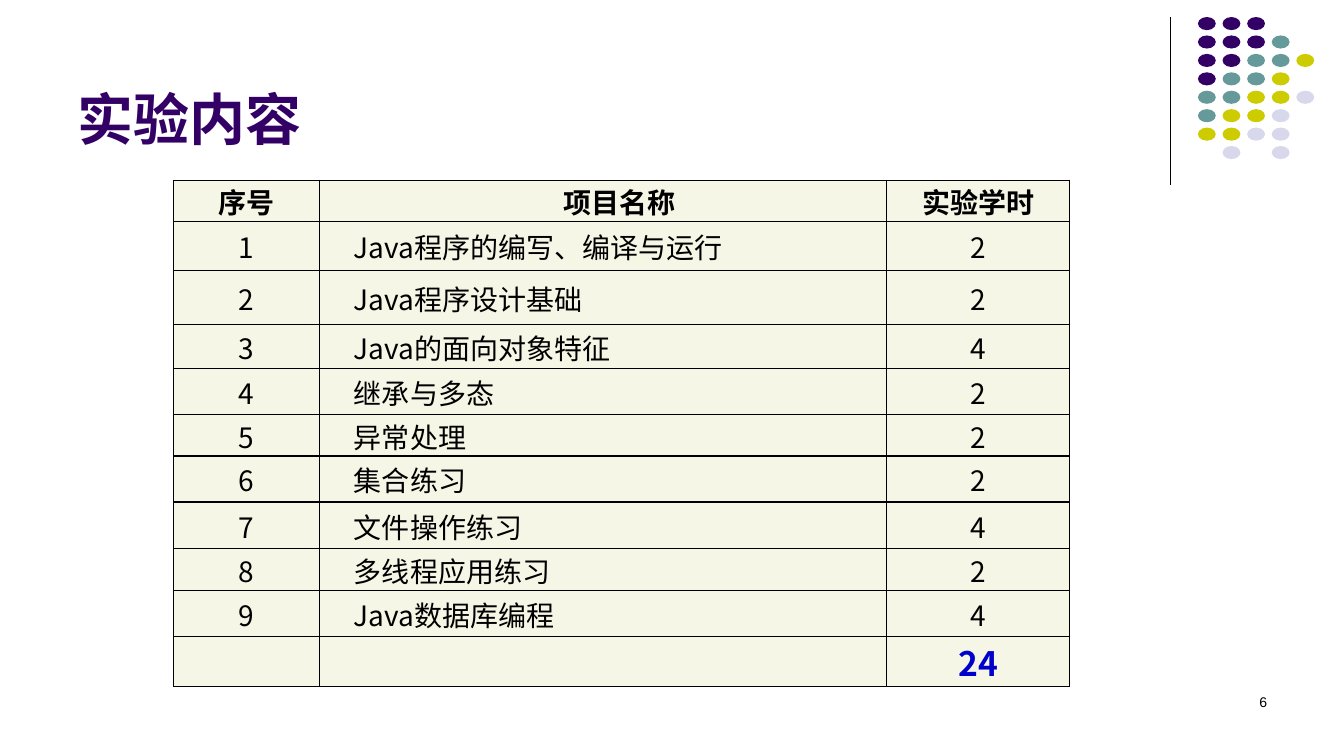
from lxml.etree import SubElement
from pptx import Presentation
from pptx.dml.color import RGBColor
from pptx.enum.shapes import MSO_CONNECTOR as LINK, MSO_SHAPE as SHAPE
from pptx.enum.text import MSO_ANCHOR as ANCHOR, PP_ALIGN as ALIGN
from pptx.oxml.ns import qn
from pptx.util import Cm, Pt

TITLE = "实验内容"
PAGE = "6"
HEAD = ("序号", "项目名称", "实验学时")
LABS = [
    ("Java程序的编写、编译与运行", 2),
    ("Java程序设计基础", 2),
    ("Java的面向对象特征", 4),
    ("继承与多态", 2),
    ("异常处理", 2),
    ("集合练习", 2),
    ("文件操作练习", 4),
    ("多线程应用练习", 2),
    ("Java数据库编程", 4),
]
# One letter per dot: Purple, Teal, Olive, Light; a point is a gap
DOTS = ("PPP", "PPPT", "PPTTO", "PTTO", "TTOOL", "TOOL", "OOLL", ".L.L")

BLACK = RGBColor(0, 0, 0)
PURPLE = RGBColor(0x33, 0x00, 0x66)
TEAL = RGBColor(0x66, 0x99, 0x99)
OLIVE = RGBColor(0xCC, 0xCC, 0x00)
LIGHT = RGBColor(0xD8, 0xD8, 0xEC)
CREAM = RGBColor(0xF6, 0xF6, 0xE7)
BLUE = RGBColor(0x00, 0x00, 0xCC)
TINTS = {"P": PURPLE, "T": TEAL, "O": OLIVE, "L": LIGHT}
SANS = "Arial"
HAN = "Noto Sans CJK SC"

COLS = (3.68, 14.3, 4.6)
ROWS = (1.05, 1.22, 1.36, 1.11, 1.16, 1.05, 1.16, 1.18, 1.05, 1.16, 1.26)
DOT_X, DOT_Y = 30.19, 0.43
STEP_X, STEP_Y = 0.62, 3.25 / 7


def write(para, text, size, color=BLACK, bold=False, face=HAN):
    run = para.add_run()
    run.text = text
    font = run.font
    font.size, font.bold, font.name = Pt(size), bold, face
    font.color.rgb = color
    SubElement(run._r.get_or_add_rPr(), qn("a:ea")).set("typeface", HAN)


def add_text(slide, box, text, align, anchor, **style):
    frame = slide.shapes.add_textbox(*map(Cm, box)).text_frame
    frame.word_wrap = True
    frame.vertical_anchor = anchor
    para = frame.paragraphs[0]
    para.alignment = align
    write(para, text, **style)


def add_dots(slide):
    line = slide.shapes.add_connector(
        LINK.STRAIGHT, Cm(29.49), Cm(0.43), Cm(29.49), Cm(4.65))
    line.line.color.rgb = BLACK
    line.line.width = Pt(0.75)
    SubElement(line._element.spPr, qn("a:effectLst"))
    group = slide.shapes.add_group_shape()
    for row, marks in enumerate(DOTS):
        for col, mark in enumerate(marks):
            if mark == ".":
                continue
            dot = group.shapes.add_shape(
                SHAPE.OVAL, Cm(DOT_X + col * STEP_X),
                Cm(DOT_Y + row * STEP_Y), Cm(0.45), Cm(0.33))
            dot.shadow.inherit = False
            dot.fill.solid()
            dot.fill.fore_color.rgb = TINTS[mark]
            dot.line.fill.background()


def dress(cell):
    """Set the margins, borders and fill of a cell."""
    cell.margin_left = cell.margin_right = cell.margin_top = Cm(0.03)
    cell.margin_bottom = 0
    cell.vertical_anchor = ANCHOR.MIDDLE
    props = cell._tc.get_or_add_tcPr()
    for side in ("lnL", "lnR", "lnT", "lnB"):
        edge = SubElement(props, qn("a:" + side), w=str(Pt(1)))
        paint = SubElement(edge, qn("a:solidFill"))
        SubElement(paint, qn("a:srgbClr"), val=str(BLACK))
    cell.fill.solid()
    cell.fill.fore_color.rgb = CREAM


def add_plan(slide):
    total = sum(hours for _, hours in LABS)
    body = [(str(num), name, str(hours))
            for num, (name, hours) in enumerate(LABS, 1)]
    data = [HEAD, *body, ("", "", str(total))]
    last = len(data) - 1
    table = slide.shapes.add_table(
        len(data), len(COLS), Cm(4.37), Cm(4.54),
        Cm(sum(COLS)), Cm(sum(ROWS))).table
    table.first_row = table.horz_banding = False
    for col, width in zip(table.columns, COLS):
        col.width = Cm(width)
    for row, height in zip(table.rows, ROWS):
        row.height = Cm(height)
    for r, texts in enumerate(data):
        for c, text in enumerate(texts):
            cell = table.cell(r, c)
            dress(cell)
            if not text:
                continue
            para = cell.text_frame.paragraphs[0]
            named = c == 1
            para.alignment = ALIGN.LEFT if named and r else ALIGN.CENTER
            if named:
                props = para._p.get_or_add_pPr()
                props.set("marL", "0")
                props.set("indent", str(Cm(0.84)))
            if r == last:
                write(para, text, 24, BLUE, True)
            else:
                write(para, text, 20, bold=r == 0)


def main():
    deck = Presentation()
    deck.slide_width, deck.slide_height = Cm(33.87), Cm(19.05)
    slide = deck.slides.add_slide(deck.slide_layouts[6])
    add_dots(slide)
    add_text(slide, (1.7, 0.33, 27.94, 3.61), TITLE, ALIGN.LEFT,
             ANCHOR.BOTTOM, size=40, color=PURPLE, bold=True, face=SANS)
    add_plan(slide)
    add_text(slide, (24.28, 17.35, 7.9, 1.27), PAGE, ALIGN.RIGHT,
             ANCHOR.TOP, size=10, face=SANS)
    deck.save("out.pptx")


if __name__ == "__main__":
    main()
